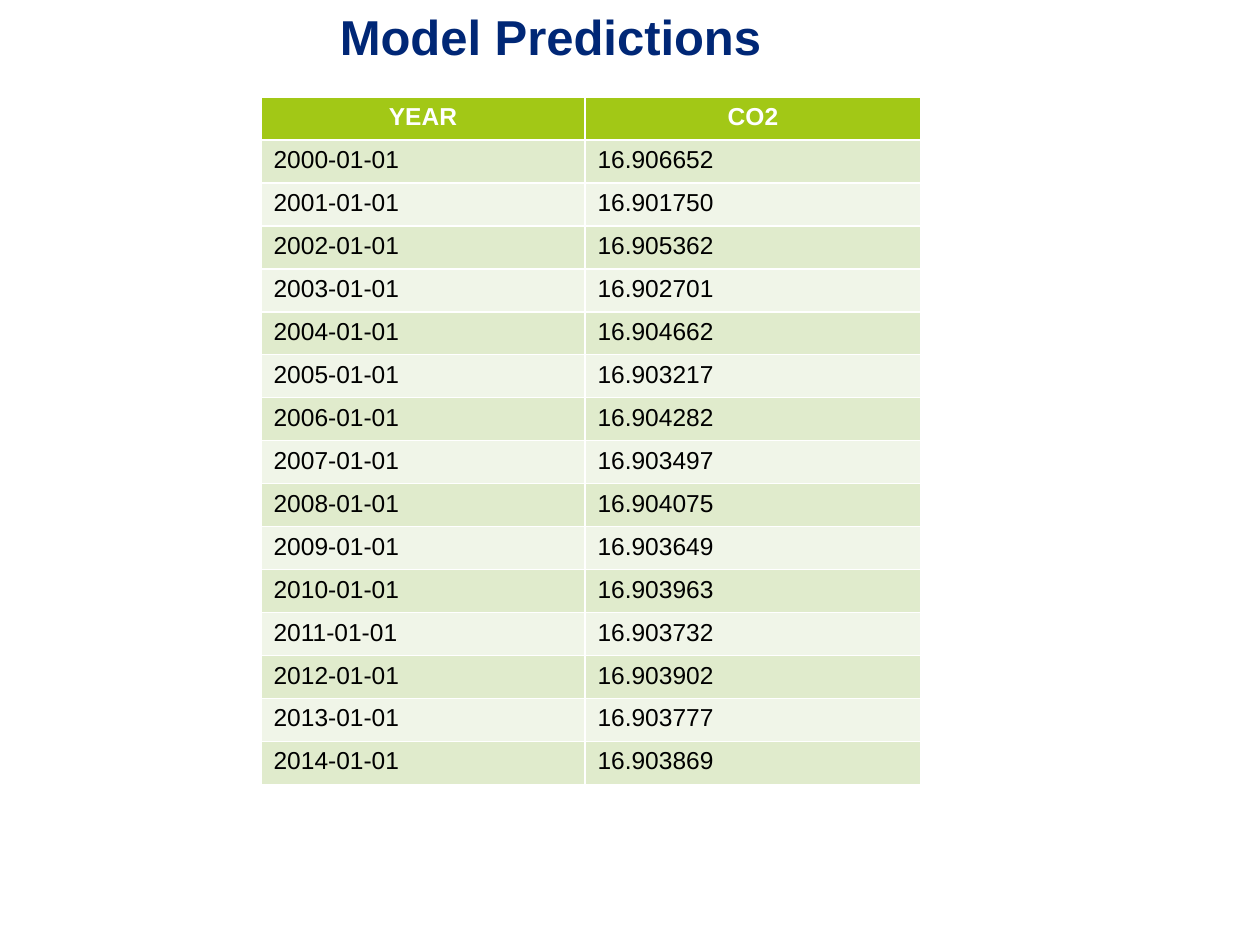
from pptx import Presentation
from pptx.dml.color import RGBColor
from pptx.enum.text import MSO_ANCHOR, MSO_AUTO_SIZE, PP_ALIGN
from pptx.util import Inches, Pt

SCALE = Inches(1) / 126


def px(count):
    """Turn a length in px into EMU."""
    return round(count * SCALE)


def format_text(para, size, color, bold, align):
    para.alignment = align
    formats = {"name": "Arial", "size": Pt(size), "bold": bold}
    for name, value in formats.items():
        setattr(para.font, name, value)
    para.font.color.rgb = RGBColor.from_string(color)


deck = Presentation()
deck.slide_width, deck.slide_height = px(1260), px(945)
page = deck.slides.add_slide(deck.slide_layouts[5])

# Title
title = page.shapes.title
title.left, title.top, title.width, title.height = px(290), px(0), px(521), px(72)
title.text_frame.text = "Model Predictions"
title.text_frame.vertical_anchor = MSO_ANCHOR.TOP
title.text_frame.auto_size = MSO_AUTO_SIZE.SHAPE_TO_FIT_TEXT
format_text(title.text_frame.paragraphs[0], 28, "002776", True, PP_ALIGN.CENTER)

# Predictions, one row a year from 2000
predictions = [
    "16.906652", "16.901750", "16.905362", "16.902701", "16.904662",
    "16.903217", "16.904282", "16.903497", "16.904075", "16.903649",
    "16.903963", "16.903732", "16.903902", "16.903777", "16.903869",
]
rows = [("YEAR", "CO2")]
rows += [(f"{year}-01-01", value) for year, value in enumerate(predictions, 2000)]

column_widths = [324, 336]
row_height = 43
table = page.shapes.add_table(
    len(rows), len(column_widths), px(261), px(97),
    px(sum(column_widths)), px(row_height * len(rows)),
).table
for column, width in zip(table.columns, column_widths):
    column.width = px(width)

for row_index, row in enumerate(rows):
    table.rows[row_index].height = px(row_height)
    if row_index == 0:
        fill, text_format = "A2C816", (14, "FFFFFF", True, PP_ALIGN.CENTER)
    else:
        fill = "E0EBCC" if row_index % 2 else "F0F5E8"
        text_format = (14, "000000", False, PP_ALIGN.LEFT)
    for column_index, text in enumerate(row):
        cell = table.cell(row_index, column_index)
        cell.text = text
        cell.fill.solid()
        cell.fill.fore_color.rgb = RGBColor.from_string(fill)
        format_text(cell.text_frame.paragraphs[0], *text_format)

deck.save("out.pptx")
